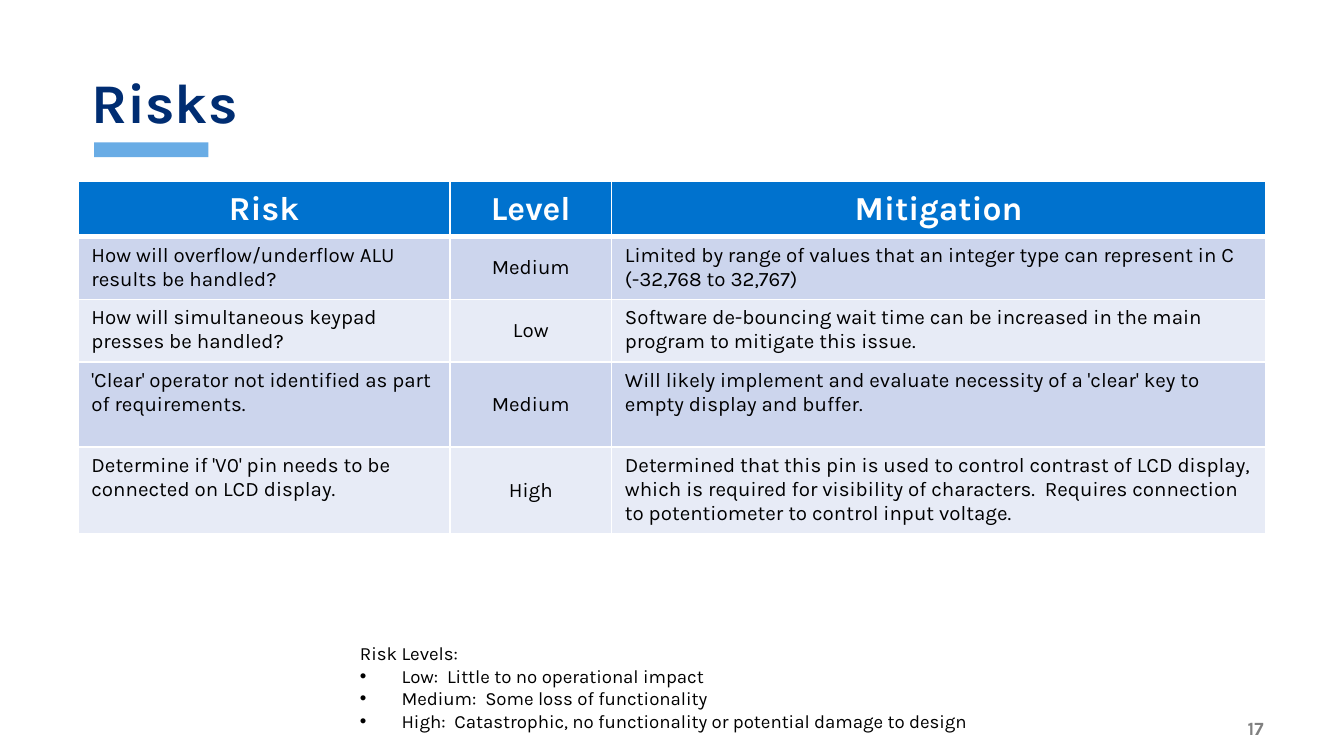
from lxml import etree
from pptx import Presentation, util as u
from pptx.dml.color import RGBColor
from pptx.enum import shapes, text
from pptx.oxml import ns

FONT = "Karla"
COLUMN_WIDTHS = [2.77, 1.2, 4.87]
ROW_HEIGHTS = [0.41, 0.41, 0.41, 0.63, 0.41]
HEADERS = ["Risk", "Level", "Mitigation"]
RISKS = [
    ["How will overflow/underflow ALU results be handled?", "Medium",
     "Limited by range of values that an integer type can represent in C (-32,768 to 32,767)"],
    ["How will simultaneous keypad presses be handled?", "Low",
     "Software de-bouncing wait time can be increased in the main program to mitigate this issue."],
    ["'Clear' operator not identified as part of requirements.", "Medium",
     "Will likely implement and evaluate necessity of a 'clear' key to empty display and buffer."],
    ["Determine if 'V0' pin needs to be connected on LCD display.", "High",
     "Determined that this pin is used to control contrast of LCD display, which is required for "
     "visibility of characters.  Requires connection to potentiometer to control input voltage."],
]
LEVELS = [
    "Low:  Little to no operational impact",
    "Medium:  Some loss of functionality",
    "High:  Catastrophic, no functionality or potential damage to design",
]


def color(value):
    """Turn a hex string into a colour."""
    return RGBColor.from_string(value)


def add_span(para, words, size, hue, bold=False):
    """Add one styled run to a paragraph."""
    span = para.add_run()
    span.text = words
    span.font.name = FONT
    span.font.size = u.Pt(size)
    span.font.bold = bold
    span.font.color.rgb = color(hue)


def add_box(slide, left, top, width, height, anchor=text.MSO_ANCHOR.TOP):
    """Add a wrapping text box and return its text frame."""
    box = slide.shapes.add_textbox(*map(u.Inches, (left, top, width, height)))
    frame = box.text_frame
    frame.word_wrap = True
    frame.vertical_anchor = anchor
    return frame


def add_bar(slide, left, top, width, height, hue):
    """Add a plain filled rectangle."""
    bar = slide.shapes.add_shape(
        shapes.MSO_SHAPE.RECTANGLE, *map(u.Inches, (left, top, width, height)))
    bar.shadow.inherit = False
    bar.fill.solid()
    bar.fill.fore_color.rgb = color(hue)
    bar.line.fill.background()


def set_bullet(para):
    """Give a paragraph a round bullet with a hanging indent."""
    properties = para._p.get_or_add_pPr()
    properties.set("marL", str(u.Inches(0.31)))
    properties.set("indent", str(u.Inches(-0.31)))
    etree.SubElement(properties, ns.qn("a:buFont"), typeface="Arial")
    etree.SubElement(properties, ns.qn("a:buChar"), char="•")


def set_borders(cell, top, bottom):
    """Draw white borders around a cell with the given top and bottom widths."""
    properties = cell._tc.get_or_add_tcPr()
    for side, width in (("L", 1), ("R", 1), ("T", top), ("B", bottom)):
        line = etree.SubElement(properties, ns.qn(f"a:ln{side}"), w=str(u.Pt(width)))
        fill = etree.SubElement(line, ns.qn("a:solidFill"))
        etree.SubElement(fill, ns.qn("a:srgbClr"), val="FFFFFF")


def fill_cell(cell, words, row, column):
    """Style and fill a table cell according to its place."""
    header = row == 0
    centered = header or column == 1
    set_borders(cell, 3 if row == 1 else 1, 3 if header else 1)
    cell.fill.solid()
    cell.fill.fore_color.rgb = color("0072CE" if header else ("E7EBF6", "CCD5ED")[row % 2])
    cell.vertical_anchor = text.MSO_ANCHOR.MIDDLE if centered else text.MSO_ANCHOR.TOP
    para = cell.text_frame.paragraphs[0]
    para.alignment = text.PP_ALIGN.CENTER if centered else text.PP_ALIGN.LEFT
    add_span(para, words, 18 if header else 11, "FFFFFF" if header else "000000", header)


def add_risk_table(slide, left, top):
    """Add the table of risks, levels and mitigations."""
    rows = [HEADERS] + RISKS
    table = slide.shapes.add_table(
        len(rows), len(HEADERS), u.Inches(left), u.Inches(top),
        u.Inches(sum(COLUMN_WIDTHS)), u.Inches(2.64)).table
    for column, width in zip(table.columns, COLUMN_WIDTHS):
        column.width = u.Inches(width)
    for line, height in zip(table.rows, ROW_HEIGHTS):
        line.height = u.Inches(height)
    for row, entries in enumerate(rows):
        for column, words in enumerate(entries):
            fill_cell(table.cell(row, column), words, row, column)


def add_title(slide, words):
    """Add the slide title and its accent bar."""
    para = add_box(slide, 0.58, 0.12, 8.84, 0.94, text.MSO_ANCHOR.BOTTOM).paragraphs[0]
    para.line_spacing = 0.9
    add_span(para, words, 30, "002D72", True)
    add_bar(slide, 0.7, 1.06, 0.85, 0.11, "69ACE5")


def add_legend(slide):
    """Add the explanation of the risk levels."""
    frame = add_box(slide, 2.58, 4.73, 4.85, 0.77)
    add_span(frame.paragraphs[0], "Risk Levels:", 10, "000000")
    for level in LEVELS:
        para = frame.add_paragraph()
        set_bullet(para)
        add_span(para, level, 10, "000000")


def add_page_number(slide, number):
    """Add the page number at the lower right."""
    frame = add_box(slide, 8.63, 5.32, 0.87, 0.19, text.MSO_ANCHOR.MIDDLE)
    frame.word_wrap = False
    para = frame.paragraphs[0]
    para.alignment = text.PP_ALIGN.RIGHT
    add_span(para, number, 10, "808080", True)


def main():
    """Build the risk slide and save it."""
    deck = Presentation()
    deck.slide_width = u.Inches(10)
    deck.slide_height = deck.slide_width * 9 // 16
    slide = deck.slides.add_slide(deck.slide_layouts[6])
    add_title(slide, "Risks")
    add_risk_table(slide, 0.58, 1.35)
    add_legend(slide)
    add_page_number(slide, "17")
    deck.save("out.pptx")


if __name__ == "__main__":
    main()
